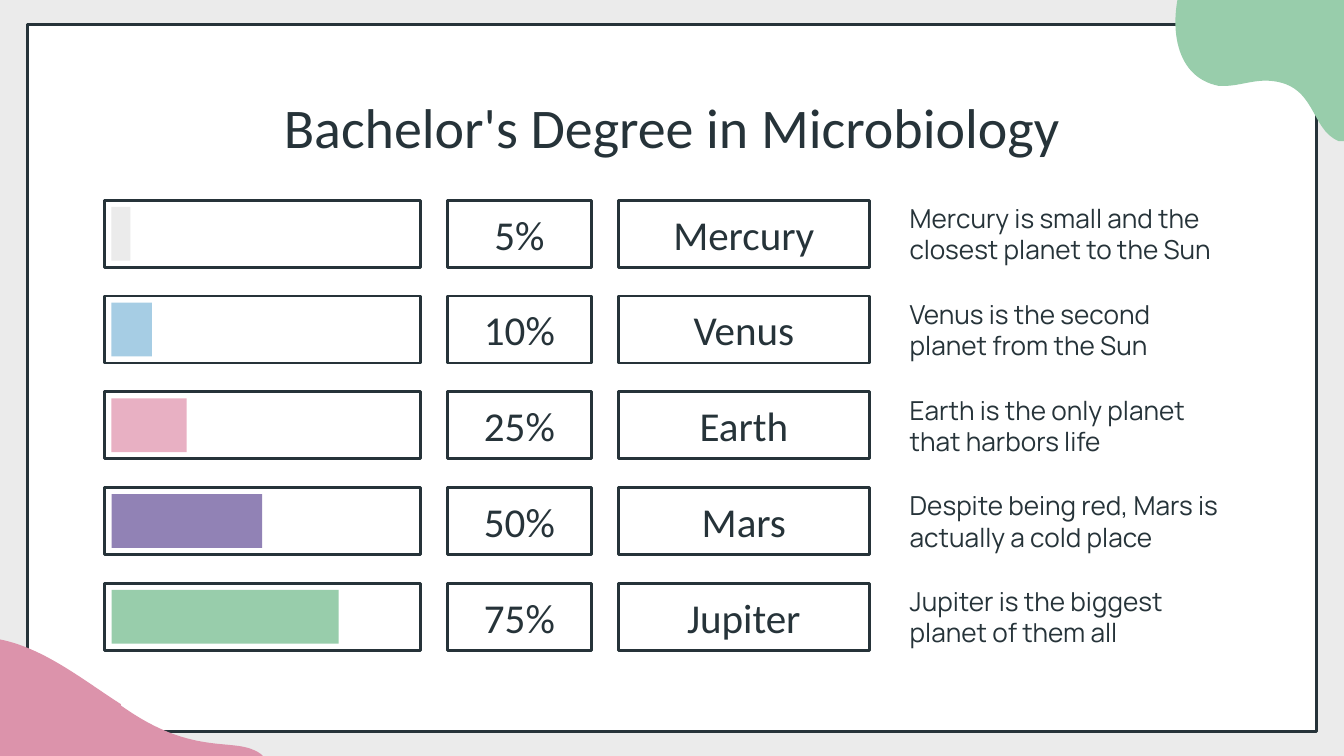
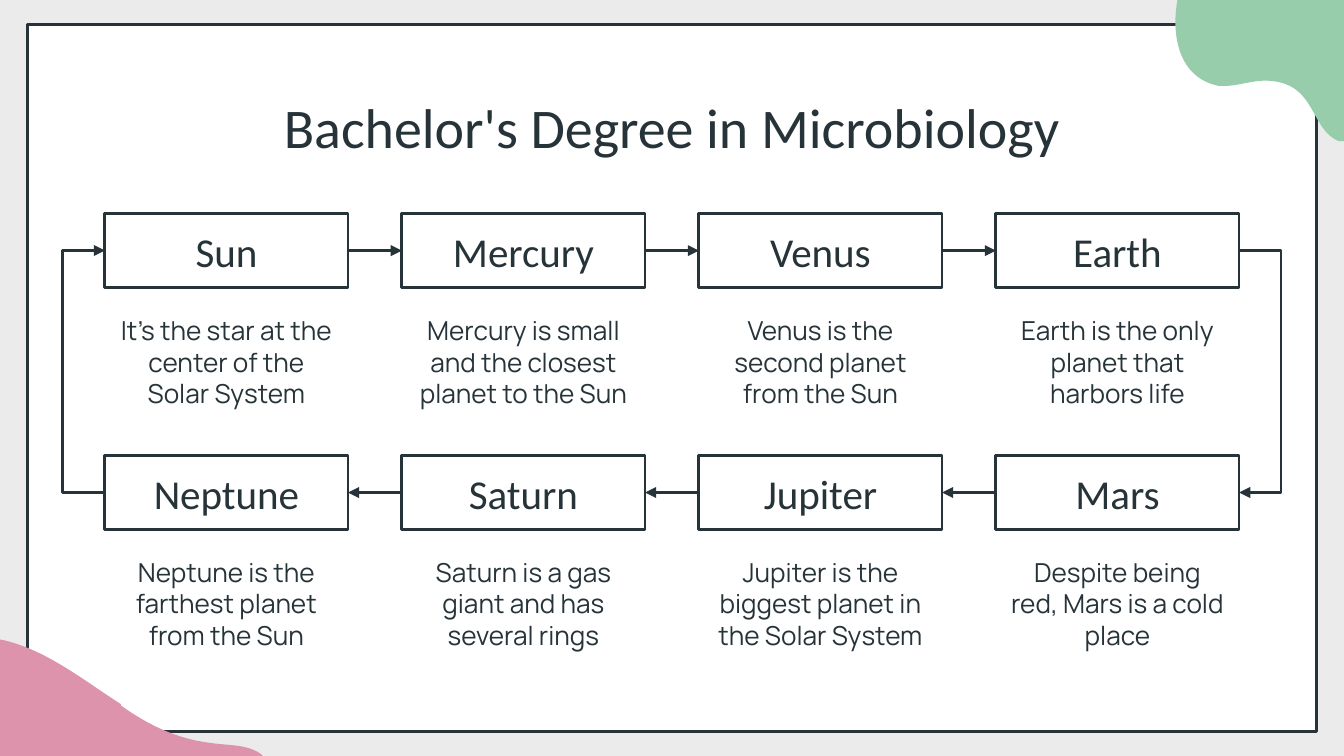
from lxml import etree
from pptx import Presentation
from pptx.dml.color import RGBColor
from pptx.enum.shapes import MSO_CONNECTOR as Link, MSO_SHAPE as Preset
from pptx.enum.text import MSO_ANCHOR as Anchor, PP_ALIGN as Align
from pptx.oxml.ns import qn
from pptx.util import Emu, Inches, Pt

INK = RGBColor(0x26, 0x33, 0x39)
WHITE = RGBColor(0xFF, 0xFF, 0xFF)
GREY = RGBColor(0xEB, 0xEB, 0xEB)
BLUE = RGBColor(0xA6, 0xCD, 0xE4)
PINK = RGBColor(0xE8, 0xB0, 0xC3)
ROSE = RGBColor(0xDC, 0x93, 0xAB)
PURPLE = RGBColor(0x91, 0x82, 0xB5)
GREEN = RGBColor(0x98, 0xCD, 0xAB)
WIDTH, HEIGHT = 10, 5.625
FRAME_WIDTH, FRAME_HEIGHT = 9.59, 5.26
LEFT = 0.78
TITLE = "Bachelor's Degree in Microbiology"

# Each blob: colour, start point, then Bezier curves (two controls and an end)
BLOBS = [
    (GREEN, (9.48, -0.95), [
        (9.19, -0.95), (8.92, -0.72), (8.8, -0.15),
        (8.7, 0.13), (8.71, 0.57), (9.07, 0.64),
        (9.08, 0.64), (9.09, 0.64), (9.11, 0.64),
        (9.21, 0.64), (9.31, 0.6), (9.42, 0.6),
        (9.8, 0.61), (9.74, 0.96), (9.96, 1.05),
        (9.98, 1.05), (9.99, 1.05), (10, 1.05),
        (10.25, 1.05), (10.4, 0.77), (10.43, 0.54),
        (10.59, -0.2), (10, -0.95), (9.48, -0.95)]),
    (ROSE, (1.94, 5.61), [
        (1.75, 5.47), (1.46, 5.65), (0.9, 5.25),
        (0.9, 5.25), (0.9, 5.24), (0.9, 5.24),
        (0.54, 5.01), (0.16, 4.68), (-0.3, 4.75),
        (-0.52, 4.79), (-0.72, 4.95), (-0.76, 5.17),
        (-0.8, 5.46), (-0.58, 5.74), (-0.27, 5.97),
        (0.14, 6.26), (0.7, 6.46), (1.02, 6.48),
        (1.45, 6.53), (2.22, 6.19), (2, 5.68),
        (1.98, 5.65), (1.96, 5.63), (1.94, 5.61)]),
]


def add_text(page, text, left, top, width, height, size=14, font="Manrope",
             align=Align.CENTER, anchor=Anchor.TOP, framed=False):
    area = [Inches(value) for value in (left, top, width, height)]
    if framed:
        box = add_rect(page, *area, line=INK)
    else:
        box = page.shapes.add_textbox(*area)
    frame = box.text_frame
    frame.word_wrap = True
    frame.vertical_anchor = anchor
    frame.margin_left = frame.margin_right = Inches(0.1)
    frame.margin_top = frame.margin_bottom = Inches(0.1)
    para = frame.paragraphs[0]
    para.alignment = align
    span = para.add_run()
    span.text = text
    span.font.size = Pt(size)
    span.font.name = font
    span.font.color.rgb = INK
    return box


def add_rect(page, left, top, width, height, fill=None, line=None):
    rect = page.shapes.add_shape(Preset.RECTANGLE, left, top, width, height)
    rect.shadow.inherit = False
    if fill is None:
        rect.fill.background()
    else:
        rect.fill.solid()
        rect.fill.fore_color.rgb = fill
    if line is None:
        rect.line.fill.background()
    else:
        rect.line.color.rgb = line
        rect.line.width = Pt(1.5)
    return rect


deck = Presentation()
deck.slide_width, deck.slide_height = Inches(WIDTH), Inches(HEIGHT)
pages = [deck.slides.add_slide(deck.slide_layouts[6]) for _ in range(2)]
LABEL = dict(size=22, font="Calibri", anchor=Anchor.MIDDLE, framed=True)

# Shared background, centred frame, blobs and title
for page in pages:
    page.background.fill.solid()
    page.background.fill.fore_color.rgb = GREY
    add_rect(page, Inches((WIDTH - FRAME_WIDTH) / 2), Inches((HEIGHT - FRAME_HEIGHT) / 2),
             Inches(FRAME_WIDTH), Inches(FRAME_HEIGHT), WHITE, INK)
    for colour, start, points in BLOBS:
        builder = page.shapes.build_freeform(Inches(start[0]), Inches(start[1]))
        builder.add_line_segments([(Inches(x), Inches(y)) for x, y in points], close=True)
        blob = builder.convert_to_shape()
        blob.shadow.inherit = False
        blob.fill.solid()
        blob.fill.fore_color.rgb = colour
        blob.line.fill.background()
        # Turn every three straight segments into one Bezier curve
        segments = list(blob._element.iter(qn("a:lnTo")))
        for first in range(0, len(segments), 3):
            curve = etree.Element(qn("a:cubicBezTo"))
            segments[first].addprevious(curve)
            for segment in segments[first:first + 3]:
                curve.append(segment[0])
                segment.getparent().remove(segment)
    add_text(page, TITLE, LEFT, 0.59, 8.44, 0.7, size=30, font="Calibri")

# Slide 1: progress bars with percentage, planet and description
progress = [
    ("5%", 0.14, GREY, "Mercury", "Mercury is small and the closest planet to the Sun"),
    ("10%", 0.3, BLUE, "Venus", "Venus is the second planet from the Sun"),
    ("25%", 0.56, PINK, "Earth", "Earth is the only planet that harbors life"),
    ("50%", 1.12, PURPLE, "Mars", "Despite being red, Mars is actually a cold place"),
    ("75%", 1.69, GREEN, "Jupiter", "Jupiter is the biggest planet of them all"),
]
page = pages[0]
for row, (percent, bar_width, colour, planet, description) in enumerate(progress):
    top = 1.49 + row * 2.85 / 4
    add_rect(page, Inches(LEFT), Inches(top), Inches(2.35), Inches(0.5), line=INK)
    add_rect(page, Inches(LEFT + 0.05), Inches(top + 0.05),
             Inches(bar_width), Inches(0.4), fill=colour)
    add_text(page, percent, 3.33, top, 1.07, 0.5, **LABEL)
    add_text(page, planet, 4.6, top, 1.87, 0.5, **LABEL)
    add_text(page, description, 6.67, top, 2.55, 0.5,
             align=Align.LEFT, anchor=Anchor.MIDDLE)

# Slide 2: cycle of eight steps, clockwise from the top left
cycle = [
    ("Sun", "It’s the star at the center of the Solar System"),
    ("Mercury", "Mercury is small and the closest planet to the Sun"),
    ("Venus", "Venus is the second planet from the Sun"),
    ("Earth", "Earth is the only planet that harbors life"),
    ("Mars", "Despite being red, Mars is a cold place"),
    ("Jupiter", "Jupiter is the biggest planet in the Solar System"),
    ("Saturn", "Saturn is a gas giant and has several rings"),
    ("Neptune", "Neptune is the farthest planet from the Sun"),
]
page = pages[1]
steps = []
for index, (name, description) in enumerate(cycle):
    column = index if index < 4 else 7 - index
    left, top = LEFT + 2.21 * column, 1.59 + 1.8 * (index // 4)
    steps.append(add_text(page, name, left, top, 1.81, 0.55, **LABEL))
    add_text(page, description, left, top + 0.65, 1.81, 0.9)

# Arrows from each step to the next, bent where the cycle changes row
TURN_WIDTH, TURN_REACH = Emu(600), Inches(0.26)
for index, step in enumerate(steps):
    target = steps[(index + 1) % len(steps)]
    is_turn = index % 4 == 3
    leave = 3 if index < 4 else 1
    enter = leave if is_turn else 4 - leave
    ends = []
    for box, side in ((step, leave), (target, enter)):
        ends += [box.left + (box.width if side == 3 else 0), box.top + box.height // 2]
    arrow = page.shapes.add_connector(Link.ELBOW if is_turn else Link.STRAIGHT, *ends)
    arrow.begin_connect(step, leave)
    arrow.end_connect(target, enter)
    arrow.line.color.rgb = INK
    arrow.line.width = Pt(1.5)
    etree.SubElement(arrow.line._get_or_add_ln(), qn("a:tailEnd"), type="triangle")
    etree.SubElement(arrow._element.spPr, qn("a:effectLst"))
    if is_turn:
        arrow.width = TURN_WIDTH
        reach = TURN_REACH if leave == 3 else -TURN_REACH
        adjust = arrow._element.spPr.prstGeom.get_or_add_avLst()
        etree.SubElement(adjust, qn("a:gd"), name="adj1",
                         fmla=f"val {round(reach / TURN_WIDTH * 100000)}")

deck.save("out.pptx")
